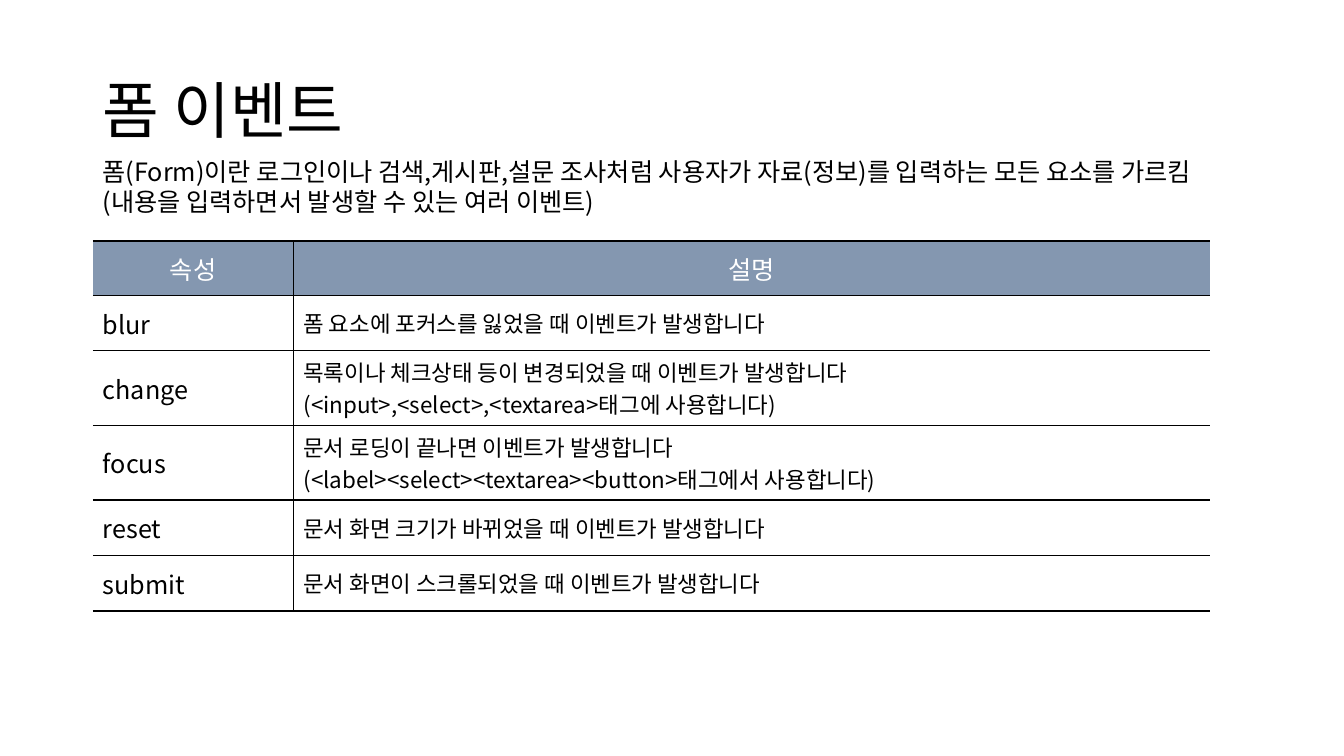
import pptx
import pptx.dml.color
import pptx.enum.text
import pptx.oxml.ns
import pptx.util
from lxml import etree

Inches = pptx.util.Inches
Align = pptx.enum.text.PP_ALIGN
Anchor = pptx.enum.text.MSO_ANCHOR
qn = pptx.oxml.ns.qn

FONT = "Noto Sans CJK KR"
COLORS = {"ink": "000000", "header": "8497B0", "paper": "FFFFFF"}
TITLE = "폼 이벤트"
INTRO = (
    "폼(Form)이란 로그인이나 검색,게시판,설문 조사처럼 사용자가 자료(정보)를 입력하는 "
    "모든 요소를 가르킴 (내용을 입력하면서 발생할 수 있는 여러 이벤트)"
)
EVENTS = [
    ("속성", "설명"),
    ("blur", "폼 요소에 포커스를 잃었을 때 이벤트가 발생합니다"),
    ("change", "목록이나 체크상태 등이 변경되었을 때 이벤트가 발생합니다\n"
               "(<input>,<select>,<textarea>태그에 사용합니다)"),
    ("focus", "문서 로딩이 끝나면 이벤트가 발생합니다\n"
              "(<label><select><textarea><button>태그에서 사용합니다)"),
    ("reset", "문서 화면 크기가 바뀌었을 때 이벤트가 발생합니다"),
    ("submit", "문서 화면이 스크롤되었을 때 이벤트가 발생합니다"),
]


def rgb(name):
    """Return the palette colour with the given name."""
    return pptx.dml.color.RGBColor.from_string(COLORS[name])


def write(frame, text, size, color="ink", **paragraph_format):
    """Fill a text frame, one paragraph for each line of text."""
    frame.text = text
    for paragraph in frame.paragraphs:
        for key, value in {"alignment": Align.LEFT, **paragraph_format}.items():
            setattr(paragraph, key, value)
        for run in paragraph.runs:
            for key, value in {"name": FONT, "size": pptx.util.Pt(size), "bold": False}.items():
                setattr(run.font, key, value)
            run.font.color.rgb = rgb(color)
            etree.SubElement(run.font._element, qn("a:ea"), typeface=FONT)


def add_borders(cell, ruled_sides):
    """Rule the named sides of a cell and clear the others."""
    properties = cell._tc.get_or_add_tcPr()
    for side in "LRTB":
        border = etree.SubElement(properties, qn(f"a:ln{side}"), w=str(pptx.util.Pt(1)))
        if side in ruled_sides:
            fill = etree.SubElement(border, qn("a:solidFill"))
            etree.SubElement(fill, qn("a:srgbClr"), val=COLORS["ink"])
        else:
            etree.SubElement(border, qn("a:noFill"))


def place_title(slide, left, top, width, height):
    """Place the slide title in its box."""
    title = slide.shapes.title
    box = {"left": left, "top": top, "width": width, "height": height}
    for key, value in box.items():
        setattr(title, key, Inches(value))
    write(title.text_frame, TITLE, 44, line_spacing=0.9)
    title.text_frame.vertical_anchor = Anchor.MIDDLE


def place_intro(slide, left, top, width, height):
    """Place the definition of a form under the title."""
    intro = slide.shapes.add_textbox(*map(Inches, (left, top, width, height)))
    intro.text_frame.word_wrap = True
    write(intro.text_frame, INTRO, 18)


def place_events(slide, left, top, width, height):
    """Place the table of form events, with rules between its cells."""
    box = map(Inches, (left, top, width, height))
    events = slide.shapes.add_table(len(EVENTS), 2, *box).table
    events.first_row = events.horz_banding = False
    name_width = 1.99
    for column, column_width in zip(events.columns, (name_width, width - name_width)):
        column.width = Inches(column_width)
    for row_index, texts in enumerate(EVENTS):
        is_header = row_index == 0
        events.rows[row_index].height = Inches(0.54 if is_header else 0.55)
        for column_index, text in enumerate(texts):
            cell = events.cell(row_index, column_index)
            add_borders(cell, "LTB" if column_index else "RTB")
            cell.fill.solid()
            cell.fill.fore_color.rgb = rgb("header" if is_header else "paper")
            cell.vertical_anchor = Anchor.MIDDLE
            if is_header:
                write(cell.text_frame, text, 18, "paper", alignment=Align.CENTER)
            else:
                write(cell.text_frame, text, 16 if column_index else 18)


def main():
    """Build the form events slide and save it."""
    deck = pptx.Presentation()
    deck.slide_width, deck.slide_height = Inches(13.33), Inches(7.5)
    slide = deck.slides.add_slide(deck.slide_layouts[5])
    left = 0.92
    place_title(slide, left, 0.4, 11.5, 1.45)
    place_events(slide, left, 2.39, 11.08, 3.29)
    place_intro(slide, left, 1.5, 11, 0.71)
    deck.save("out.pptx")


if __name__ == "__main__":
    main()
